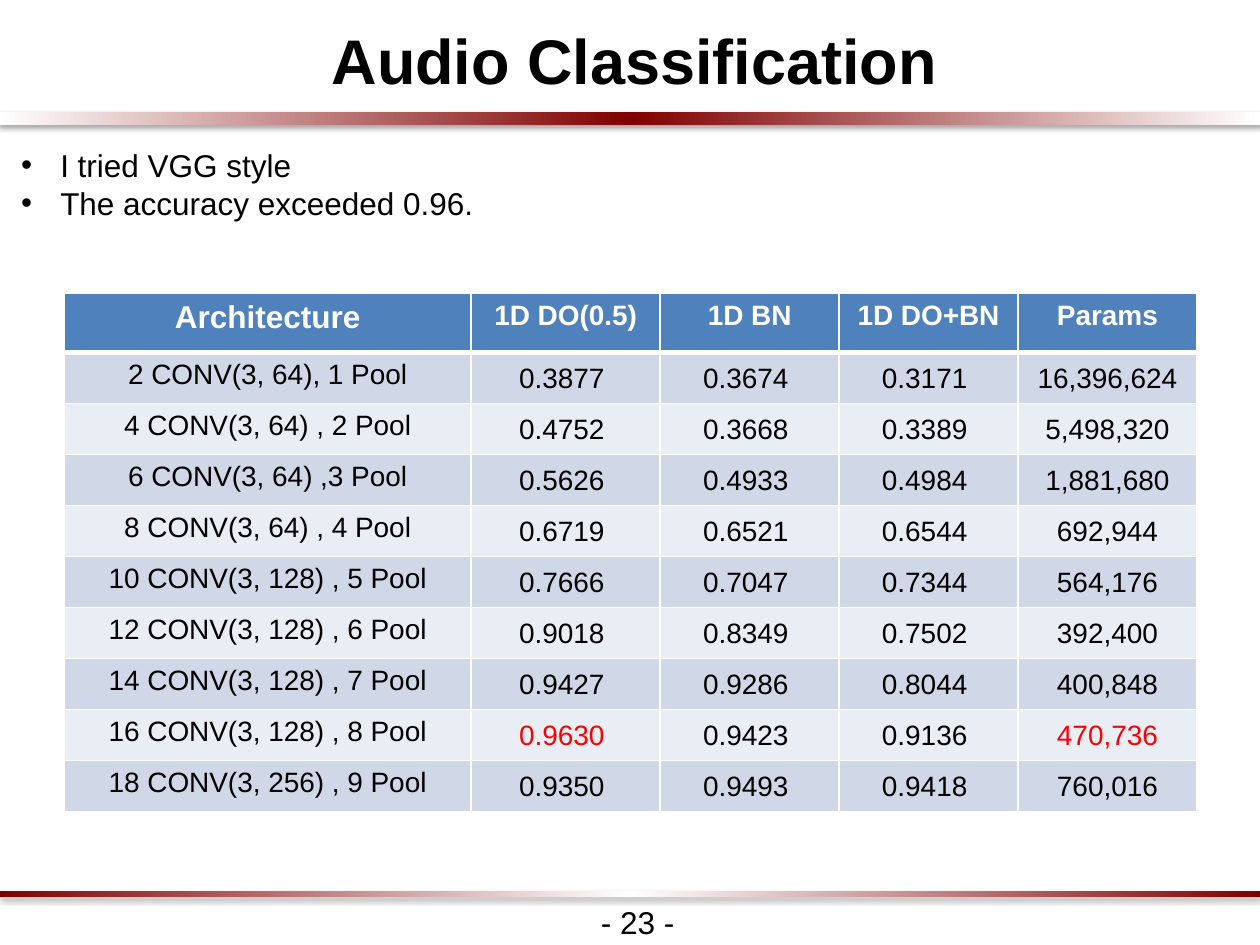
from lxml import etree
from pptx import Presentation
from pptx.dml.color import RGBColor
from pptx.enum.shapes import MSO_SHAPE
from pptx.enum.text import MSO_ANCHOR, MSO_AUTO_SIZE, PP_ALIGN
from pptx.oxml import parse_xml
from pptx.oxml.ns import qn
from pptx.util import Inches, Pt

RECT = MSO_SHAPE.RECTANGLE
MIDDLE, TOP = MSO_ANCHOR.MIDDLE, MSO_ANCHOR.TOP
CENTER, LEFT = PP_ALIGN.CENTER, PP_ALIGN.LEFT
FIT = MSO_AUTO_SIZE.SHAPE_TO_FIT_TEXT
NS = 'xmlns:a="http://schemas.openxmlformats.org/drawingml/2006/main"'
WIDE, HIGH = 10, 7.5
FONT = "Arial"
COLOR = {"ink": "000000", "white": "FFFFFF", "maroon": "800000", "head": "4F81BD",
         "odd": "D0D8E8", "even": "E9EDF4", "best": "FF0000"}

TITLE = "Audio Classification"
POINTS = ["I tried VGG style", "The accuracy exceeded 0.96."]
PAGE = "- 23 -"
BARS = [(0.89, 0.1, ("white", "maroon", "white")),
        (7.07, 0.05, ("maroon", "white", "maroon"))]
HEAD = ["Architecture", "1D DO(0.5)", "1D BN", "1D DO+BN", "Params"]
ROWS = [
    ("2 CONV(3, 64), 1 Pool", 0.3877, 0.3674, 0.3171, 16396624),
    ("4 CONV(3, 64) , 2 Pool", 0.4752, 0.3668, 0.3389, 5498320),
    ("6 CONV(3, 64) ,3 Pool", 0.5626, 0.4933, 0.4984, 1881680),
    ("8 CONV(3, 64) , 4 Pool", 0.6719, 0.6521, 0.6544, 692944),
    ("10 CONV(3, 128) , 5 Pool", 0.7666, 0.7047, 0.7344, 564176),
    ("12 CONV(3, 128) , 6 Pool", 0.9018, 0.8349, 0.7502, 392400),
    ("14 CONV(3, 128) , 7 Pool", 0.9427, 0.9286, 0.8044, 400848),
    ("16 CONV(3, 128) , 8 Pool", 0.9630, 0.9423, 0.9136, 470736),
    ("18 CONV(3, 256) , 9 Pool", 0.9350, 0.9493, 0.9418, 760016),
]
BEST = {0.9630, 470736}
COLS = [3.23, 1.5, 1.42, 1.42, 1.42]
HEAD_H, ROW_H = 0.47, 0.405


def style(para, size, color="ink", bold=False, align=LEFT):
    """Set the font and alignment of a paragraph."""
    font = para.font
    font.name, font.size, font.bold = FONT, Pt(size), bold
    font.color.rgb = RGBColor.from_string(COLOR[color])
    para.alignment = align


def inset(box, left, top, right, low):
    """Set the margins of a text frame or cell, in inches."""
    box.margin_left, box.margin_top = Inches(left), Inches(top)
    box.margin_right, box.margin_bottom = Inches(right), Inches(low)


def add_bar(slide, top, high, tones):
    """Draw a full-width gradient bar with a soft shadow."""
    bar = slide.shapes.add_shape(RECT, 0, Inches(top), Inches(WIDE), Inches(high))
    bar.line.fill.background()
    stops = "".join(f'<a:gs pos="{i * 50000}"><a:srgbClr val="{COLOR[tone]}"/></a:gs>'
                    for i, tone in enumerate(tones))
    grad = parse_xml(f'<a:gradFill {NS} rotWithShape="1"><a:gsLst>{stops}</a:gsLst>'
                     '<a:lin ang="0" scaled="0"/></a:gradFill>')
    props = bar._element.spPr
    props.find(qn("a:prstGeom")).addnext(grad)
    props.append(parse_xml(
        f'<a:effectLst {NS}><a:outerShdw blurRad="{Pt(3.1)}" dist="{Pt(1.8)}" '
        'dir="5400000" rotWithShape="0"><a:srgbClr val="000000"><a:alpha val="35000"/>'
        '</a:srgbClr></a:outerShdw></a:effectLst>'))


def add_text(slide, spot, lines, size, wrap=True, **look):
    """Add a text box with one paragraph per line and return its frame."""
    frame = slide.shapes.add_textbox(*map(Inches, spot)).text_frame
    frame.word_wrap = wrap
    frame.text = "\n".join(lines)
    for para in frame.paragraphs:
        style(para, size, **look)
    return frame


def add_bullet(para):
    """Give a paragraph a hanging round bullet."""
    props = para._p.get_or_add_pPr()
    props.set("marL", str(Inches(0.31)))
    props.set("indent", str(Inches(-0.31)))
    etree.SubElement(props, qn("a:buFont")).set("typeface", FONT)
    etree.SubElement(props, qn("a:buChar")).set("char", "•")
    props.append(props.find(qn("a:defRPr")))


def add_edges(cell, low):
    """Draw white borders on a cell; low is the bottom width in points."""
    props = cell._tc.get_or_add_tcPr()
    for i, (side, width) in enumerate(zip("LRTB", (1, 1, 1, low))):
        props.insert(i, parse_xml(
            f'<a:ln{side} {NS} w="{Pt(width)}"><a:solidFill>'
            f'<a:srgbClr val="{COLOR["white"]}"/></a:solidFill></a:ln{side}>'))


def show(value):
    """Write a cell value the way its column does."""
    if isinstance(value, float):
        return f"{value:.4f} "
    return f"{value:,}" if isinstance(value, int) else value


def add_grid(slide):
    """Build the table of results."""
    high = HEAD_H + ROW_H * len(ROWS)
    grid = slide.shapes.add_table(len(ROWS) + 1, len(COLS), Inches(0.51), Inches(2.33),
                                  Inches(sum(COLS)), Inches(high)).table
    for col, width in zip(grid.columns, COLS):
        col.width = Inches(width)
    for r, row in enumerate([HEAD, *ROWS]):
        head = r == 0
        grid.rows[r].height = Inches(HEAD_H if head else ROW_H)
        tone = "head" if head else "odd" if r % 2 else "even"
        for c, value in enumerate(row):
            cell = grid.cell(r, c)
            cell.text = show(value)
            cell.fill.solid()
            cell.fill.fore_color.rgb = RGBColor.from_string(COLOR[tone])
            color = "white" if head else "best" if value in BEST else "ink"
            style(cell.text_frame.paragraphs[0], 18 if head and c == 0 else 16,
                  color, head, CENTER)
            number = not head and c > 0
            cell.vertical_anchor = MIDDLE if number else TOP
            if number:
                inset(cell, 0.01, 0.01, 0.01, 0)
            add_edges(cell, 3 if head else 1)


deck = Presentation()
deck.slide_width, deck.slide_height = Inches(WIDE), Inches(HIGH)
slide = deck.slides.add_slide(deck.slide_layouts[6])
for bar in BARS:
    add_bar(slide, *bar)

title = add_text(slide, (-0.23, 0.03, 10.45, 0.79), [TITLE], 36, bold=True, align=CENTER)
title.vertical_anchor = MIDDLE
inset(title, 0.1, 0.1, 0.1, 0.1)
title.paragraphs[0].line_spacing = 1.15
title.paragraphs[0]._p.get_or_add_pPr().set("marL", str(Inches(0.08)))

for para in add_text(slide, (0.07, 1.11, 9.42, 1.06), POINTS, 18).paragraphs:
    add_bullet(para)
add_text(slide, (4.67, 7.12, 0.79, 0.4), [PAGE], 18, wrap=False).auto_size = FIT
add_grid(slide)
deck.save("out.pptx")
